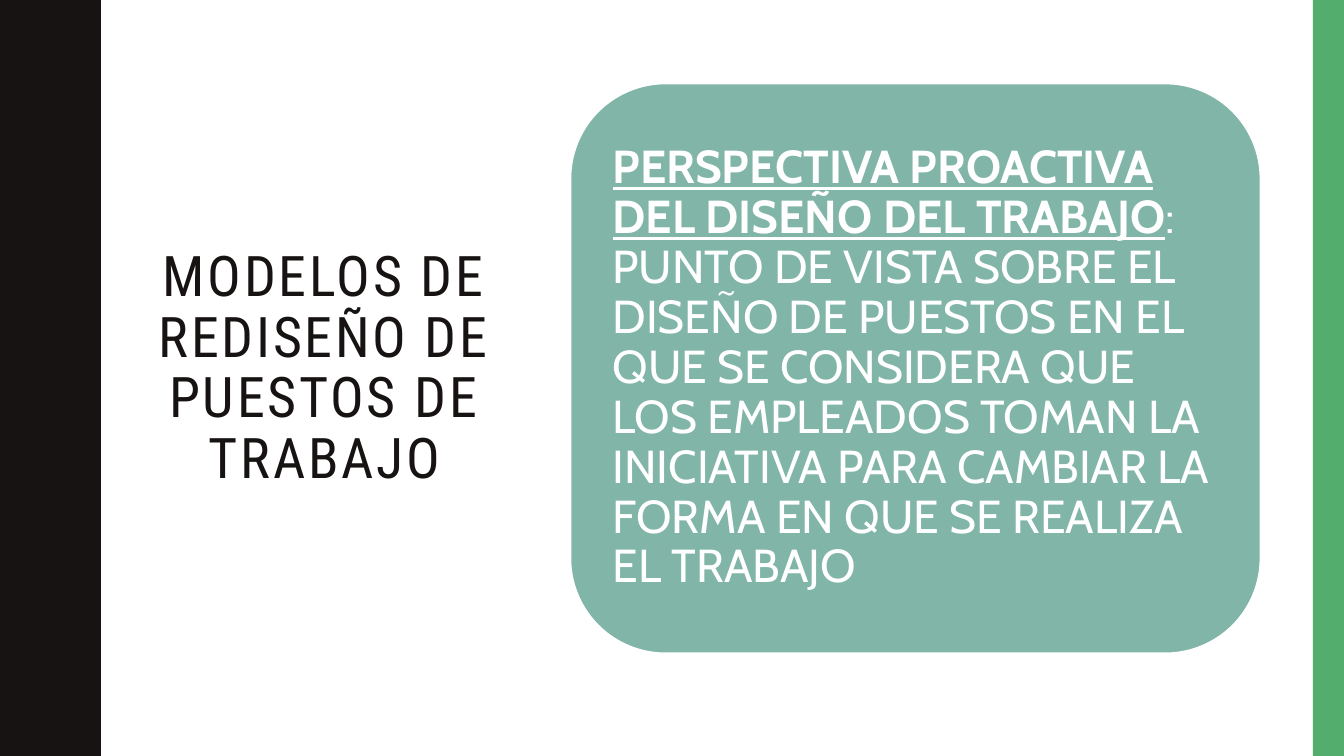
from pptx import Presentation
from pptx.dml.color import RGBColor
from pptx.enum.shapes import MSO_SHAPE
from pptx.enum.text import MSO_ANCHOR, MSO_AUTO_SIZE, PP_ALIGN
from pptx.util import Inches, Pt

BLACK = RGBColor(0x17, 0x13, 0x12)
GREEN = RGBColor(0x53, 0xAE, 0x6E)
TEAL = RGBColor(0x81, 0xB5, 0xA8)
WHITE = RGBColor(0xFF, 0xFF, 0xFF)

HALF_WAVE = [
    (0.78, 0), (0.78, 0.07), (0.79, 0.14), (0.8, 0.2), (0.81, 0.25),
    (0.83, 0.29), (0.85, 0.33), (0.87, 0.38), (0.89, 0.42), (0.91, 0.46),
    (0.93, 0.5), (0.95, 0.55), (0.96, 0.61), (0.97, 0.68), (0.97, 0.75),
]
WAVE_HEIGHT = 1.5
WAVE_COUNT = 5

presentation = Presentation()
presentation.slide_width = Inches(13.33)
presentation.slide_height = Inches(7.5)
slide = presentation.slides.add_slide(presentation.slide_layouts[5])

wave = HALF_WAVE + [(x, WAVE_HEIGHT - y) for x, y in reversed(HALF_WAVE[:-1])]
edge = [(x, y + index * WAVE_HEIGHT) for index in range(WAVE_COUNT) for x, y in wave]
builder = slide.shapes.build_freeform(0, 0, scale=Inches(1))
builder.add_line_segments(edge + [(0, 7.5)], close=True)
wavy_band = builder.convert_to_shape()
wavy_band.shadow.inherit = False
wavy_band.fill.solid()
wavy_band.fill.fore_color.rgb = BLACK
wavy_band.line.fill.background()

green_band = slide.shapes.add_shape(
    MSO_SHAPE.RECTANGLE, Inches(13.02), 0, Inches(0.31), Inches(7.5))
green_band.shadow.inherit = False
green_band.fill.solid()
green_band.fill.fore_color.rgb = GREEN
green_band.line.fill.background()

title = slide.shapes.title
title.left, title.top = Inches(1.37), Inches(0.71)
title.width, title.height = Inches(3.7), Inches(5.91)
title_frame = title.text_frame
title_frame.text = "MODELOS DE REDISEÑO DE PUESTOS DE TRABAJO"
title_frame.word_wrap = True
title_frame.auto_size = MSO_AUTO_SIZE.NONE
title_frame.vertical_anchor = MSO_ANCHOR.MIDDLE
title_paragraph = title_frame.paragraphs[0]
title_paragraph.alignment = PP_ALIGN.CENTER
title_paragraph.line_spacing = 0.9
title_run = title_paragraph.runs[0]
title_run.font.name = "Roboto Condensed"
title_run.font.size = Pt(40)
title_run.font.color.rgb = BLACK
title_run.font._element.set("spc", "200")

card = slide.shapes.add_shape(
    MSO_SHAPE.ROUNDED_RECTANGLE, Inches(5.66), Inches(0.83), Inches(6.84), Inches(5.65))
card.shadow.inherit = False
card.fill.solid()
card.fill.fore_color.rgb = TEAL
card.line.color.rgb = WHITE
card.line.width = Pt(1)

card_frame = card.text_frame
card_frame.word_wrap = True
card_frame.vertical_anchor = MSO_ANCHOR.MIDDLE
card_frame.margin_left = card_frame.margin_right = Inches(0.14)
card_frame.margin_top = card_frame.margin_bottom = Inches(0.14)
definition = card_frame.paragraphs[0]
definition.alignment = PP_ALIGN.LEFT
definition.line_spacing = 0.9
for text, is_term in [
    ("PERSPECTIVA PROACTIVA DEL DISEÑO DEL TRABAJO", True),
    (": PUNTO DE VISTA SOBRE EL DISEÑO DE PUESTOS EN EL QUE SE CONSIDERA QUE "
     "LOS EMPLEADOS TOMAN LA INICIATIVA PARA CAMBIAR LA FORMA EN QUE SE REALIZA "
     "EL TRABAJO", False),
]:
    run = definition.add_run()
    run.text = text
    run.font.name = "Cabin"
    run.font.size = Pt(33)
    run.font.color.rgb = WHITE
    run.font.bold = is_term
    run.font.underline = is_term

presentation.save("out.pptx")
